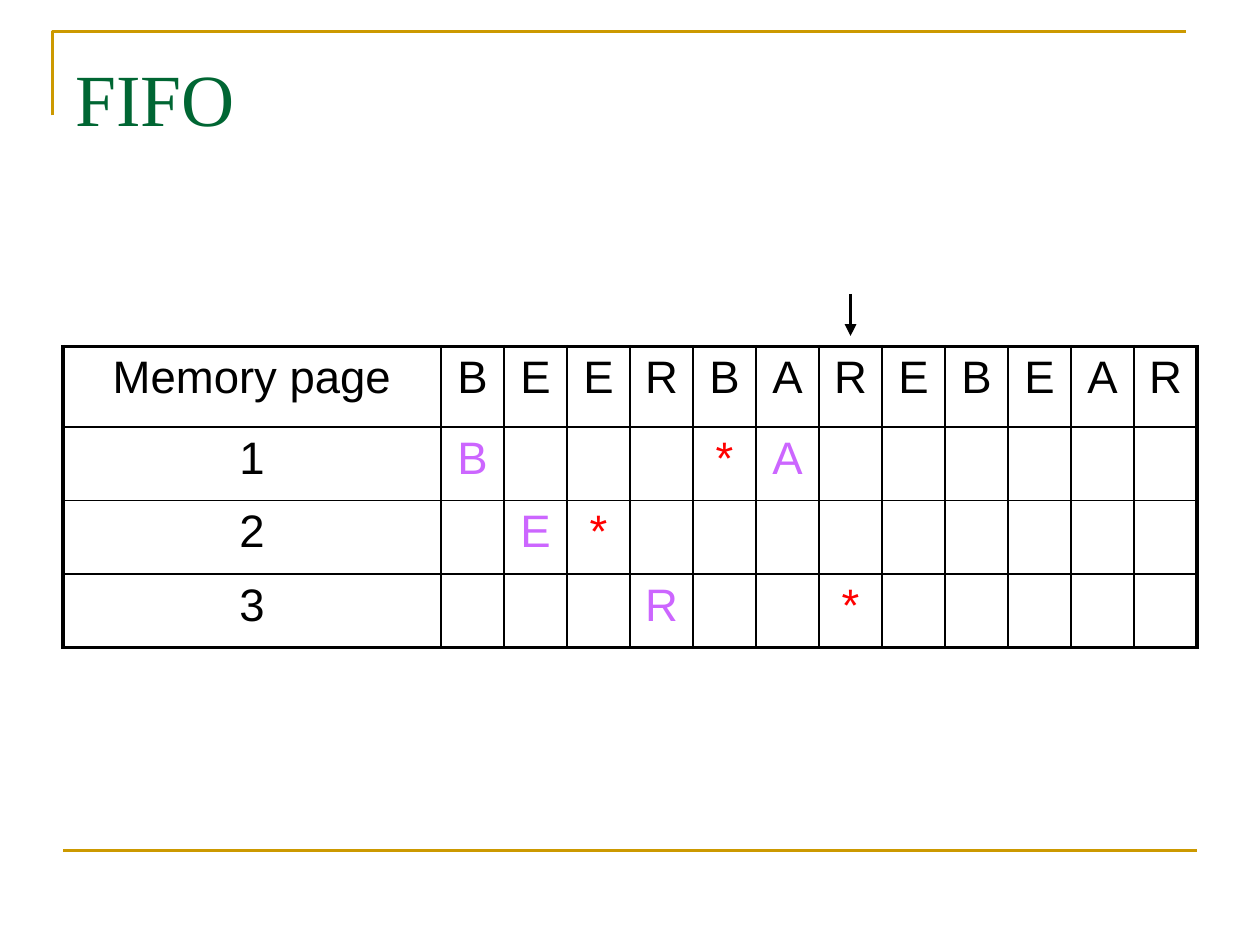
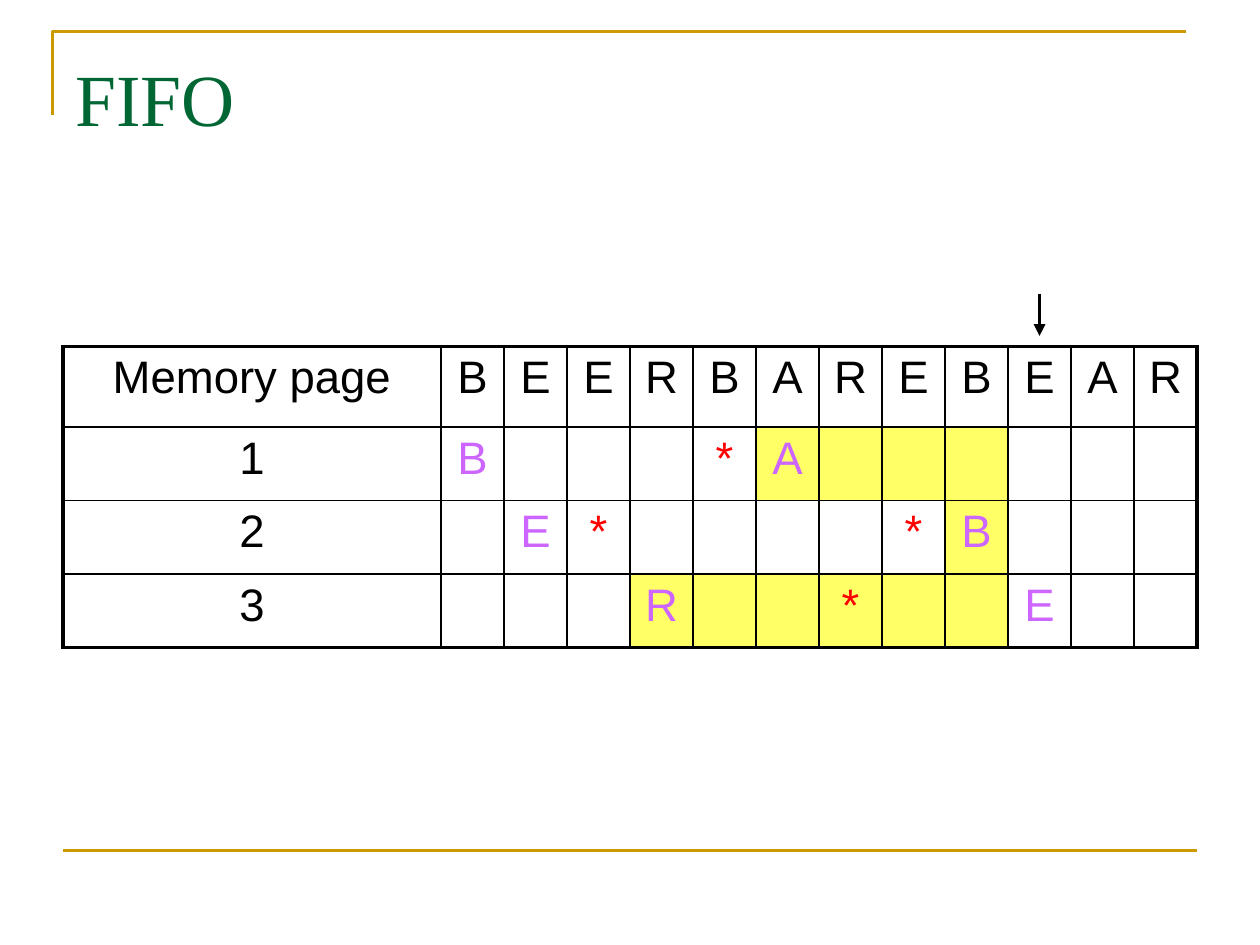
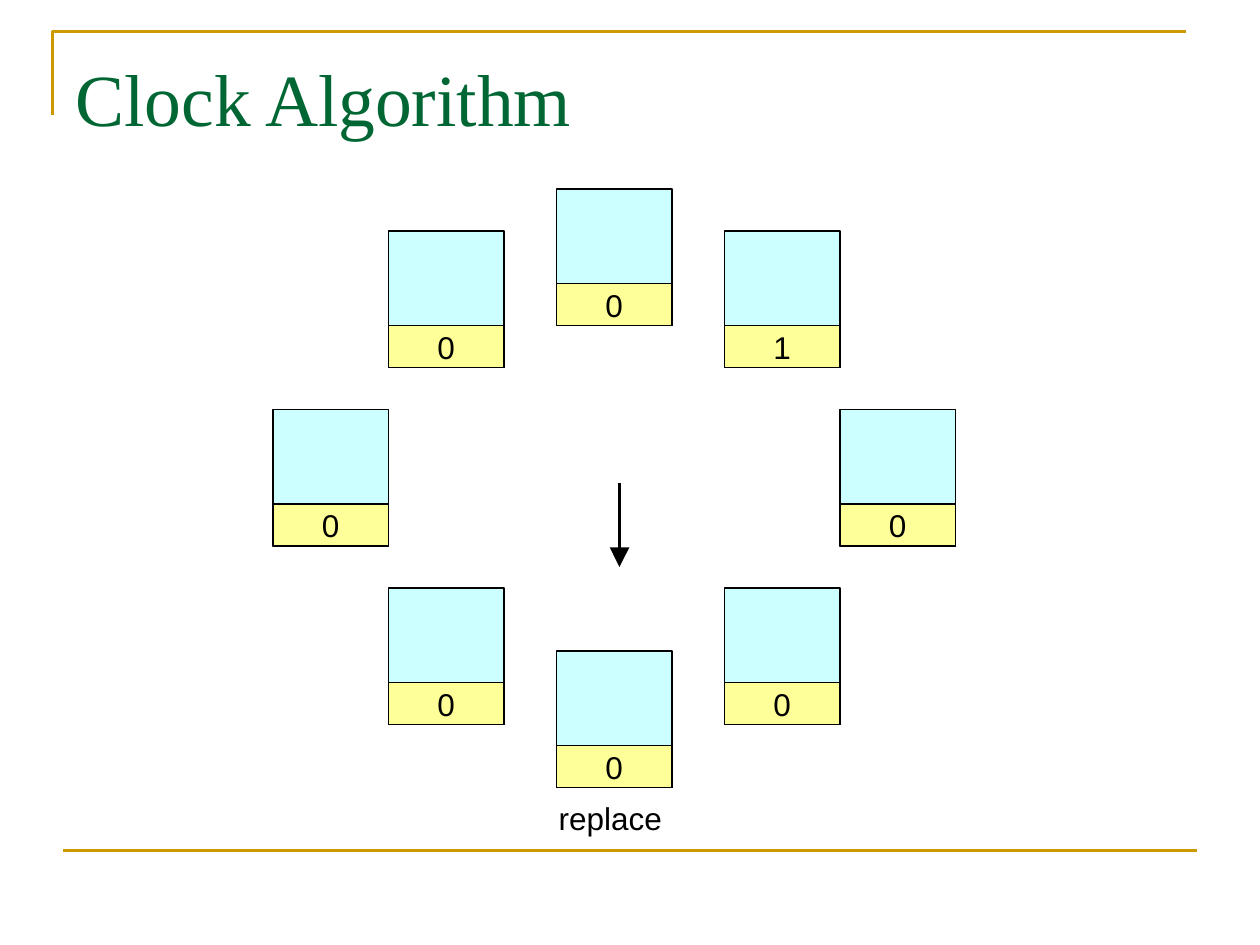
import pptx
import pptx.dml.color
import pptx.enum.shapes
import pptx.enum.text
import pptx.oxml.ns
import pptx.util
from lxml import etree

Pt = pptx.util.Pt
RGBColor = pptx.dml.color.RGBColor
MSO_SHAPE = pptx.enum.shapes.MSO_SHAPE
MSO_CONNECTOR = pptx.enum.shapes.MSO_CONNECTOR
MSO_ANCHOR = pptx.enum.text.MSO_ANCHOR
PP_ALIGN = pptx.enum.text.PP_ALIGN
qn = pptx.oxml.ns.qn

BLACK = RGBColor(0x00, 0x00, 0x00)
GOLD = RGBColor(0xCC, 0x99, 0x00)
GREEN = RGBColor(0x00, 0x66, 0x33)
PURPLE = RGBColor(0xCC, 0x66, 0xFF)
RED = RGBColor(0xFF, 0x00, 0x00)
HIGHLIGHT = RGBColor(0xFF, 0xFF, 0x66)
FRAME_BLUE = RGBColor(0xCC, 0xFF, 0xFF)
BIT_YELLOW = RGBColor(0xFF, 0xFF, 0x99)

TITLE_FONT = "Times New Roman"
BODY_FONT = "Arial"

TABLE_LEFT, TABLE_TOP = 36, 198
LABEL_WIDTH, STEP_WIDTH = 216, 36
HEADER_HEIGHT, PAGE_HEIGHT = 46, 42
THIN, THICK = 1, 2.25
REFERENCES = "BEERBAREBEAR"

FRAME_WIDTH, FRAME_HEIGHT, BIT_HEIGHT = 66, 78, 24
# Left, top and use bit of each frame, clockwise from the top
CLOCK_FRAMES = [
    (318, 108, "0"), (414, 132, "1"), (480, 234, "0"), (414, 336, "0"),
    (318, 372, "0"), (222, 336, "0"), (156, 234, "0"), (222, 132, "0"),
]


def write_text(text_frame, text, size=18, font=BODY_FONT, color=BLACK, align=PP_ALIGN.CENTER):
    paragraph = text_frame.paragraphs[0]
    paragraph.alignment = align
    run = paragraph.add_run()
    run.text = text
    run.font.size = Pt(size)
    run.font.name = font
    run.font.color.rgb = color


def add_line(slide, start, end, color=BLACK, width=2.25, head_size=None):
    """Draw a straight line; head_size ("med" or "lg") puts an arrowhead at its end."""
    connector = slide.shapes.add_connector(
        MSO_CONNECTOR.STRAIGHT, *(Pt(value) for value in (*start, *end)))
    connector.line.color.rgb = color
    connector.line.width = Pt(width)
    if head_size:
        etree.SubElement(connector.line._get_or_add_ln(), qn("a:tailEnd"),
                         type="triangle", w=head_size, len=head_size)
    etree.SubElement(connector._element.spPr, qn("a:effectLst"))


def add_text_box(slide, left, top, width, height, text, wrap=False, top_margin=3.6, **text_format):
    box = slide.shapes.add_textbox(Pt(left), Pt(top), Pt(width), Pt(height))
    box.text_frame.word_wrap = wrap
    box.text_frame.margin_top = Pt(top_margin)
    write_text(box.text_frame, text, **text_format)


def add_box(slide, left, top, width, height, fill, text=None):
    box = slide.shapes.add_shape(
        MSO_SHAPE.RECTANGLE, Pt(left), Pt(top), Pt(width), Pt(height))
    box.shadow.inherit = False
    box.fill.solid()
    box.fill.fore_color.rgb = fill
    box.line.color.rgb = BLACK
    box.line.width = Pt(0.75)
    if text:
        text_frame = box.text_frame
        text_frame.word_wrap = False
        text_frame.vertical_anchor = MSO_ANCHOR.MIDDLE
        text_frame.margin_top = text_frame.margin_bottom = 0
        write_text(text_frame, text)


def add_titled_slide(presentation, title):
    """Add a slide with the shared corner line, bottom rule and title."""
    slide = presentation.slides.add_slide(presentation.slide_layouts[6])
    builder = slide.shapes.build_freeform(Pt(30), Pt(66))
    builder.add_line_segments([(Pt(30), Pt(18)), (Pt(678), Pt(18))], close=False)
    corner = builder.convert_to_shape()
    corner.shadow.inherit = False
    corner.fill.background()
    corner.line.color.rgb = GOLD
    corner.line.width = Pt(1.5)
    add_line(slide, (36, 486), (684, 486), color=GOLD, width=1.5)
    add_text_box(slide, 36, 21.6, 648, 90, title, wrap=True, top_margin=8.4,
                 size=42, font=TITLE_FONT, color=GREEN, align=PP_ALIGN.LEFT)
    return slide


def set_borders(cell, **widths):
    """Set the black borders L, R, T and B, which must come in this order."""
    properties = cell._tc.get_or_add_tcPr()
    for side, width in widths.items():
        line = etree.SubElement(properties, qn(f"a:ln{side}"), w=str(Pt(width)))
        fill = etree.SubElement(line, qn("a:solidFill"))
        etree.SubElement(fill, qn("a:srgbClr"), val=str(BLACK))


def add_page_table(slide, pages, highlighted):
    """Each page is one character per step; highlighted maps a page number to its steps."""
    rows = [["Memory page", *REFERENCES]]
    rows += [[str(number), *steps] for number, steps in enumerate(pages, 1)]
    last_row, last_column = len(pages), len(REFERENCES)
    table = slide.shapes.add_table(
        len(rows), last_column + 1, Pt(TABLE_LEFT), Pt(TABLE_TOP),
        Pt(LABEL_WIDTH + last_column * STEP_WIDTH),
        Pt(HEADER_HEIGHT + last_row * PAGE_HEIGHT)).table
    table.first_row = table.horz_banding = False
    for index, column in enumerate(table.columns):
        column.width = Pt(STEP_WIDTH if index else LABEL_WIDTH)
    for row_index, row in enumerate(rows):
        table.rows[row_index].height = Pt(PAGE_HEIGHT if row_index else HEADER_HEIGHT)
        for column_index, text in enumerate(row):
            cell = table.cell(row_index, column_index)
            set_borders(cell,
                        L=THIN if column_index else THICK,
                        R=THICK if column_index == last_column else THIN,
                        T=THIN if row_index else THICK,
                        B=THICK if row_index == last_row else THIN)
            if column_index in highlighted.get(row_index, ()):
                cell.fill.solid()
                cell.fill.fore_color.rgb = HIGHLIGHT
            else:
                cell.fill.background()
            if text == " ":
                continue
            color = BLACK
            if row_index and column_index:
                color = RED if text == "*" else PURPLE
            write_text(cell.text_frame, text, size=26, color=color)


def add_fifo_slide(presentation, pages, current_step, highlighted):
    slide = add_titled_slide(presentation, "FIFO")
    add_page_table(slide, pages, highlighted)
    center = TABLE_LEFT + LABEL_WIDTH + (current_step - 0.5) * STEP_WIDTH
    add_line(slide, (center, 168), (center, 192), head_size="med")


def add_clock_slide(presentation):
    slide = add_titled_slide(presentation, "Clock Algorithm")
    for left, top, use_bit in CLOCK_FRAMES:
        add_box(slide, left, top, FRAME_WIDTH, FRAME_HEIGHT, FRAME_BLUE)
        add_box(slide, left, top + FRAME_HEIGHT - BIT_HEIGHT,
                FRAME_WIDTH, BIT_HEIGHT, BIT_YELLOW, use_bit)
    add_line(slide, (354, 276), (354, 324), head_size="lg")
    add_text_box(slide, 312, 453, 73.4, 28.8, "replace")


def main():
    presentation = pptx.Presentation()
    presentation.slide_width, presentation.slide_height = Pt(720), Pt(540)
    add_fifo_slide(presentation,
                   ["B   *A      ",
                    " E*         ",
                    "   R  *     "],
                   current_step=7, highlighted={})
    add_fifo_slide(presentation,
                   ["B   *A      ",
                    " E*    *B   ",
                    "   R  *  E  "],
                   current_step=10,
                   highlighted={1: range(6, 10), 2: [9], 3: range(4, 10)})
    add_clock_slide(presentation)
    presentation.save("out.pptx")


if __name__ == "__main__":
    main()
